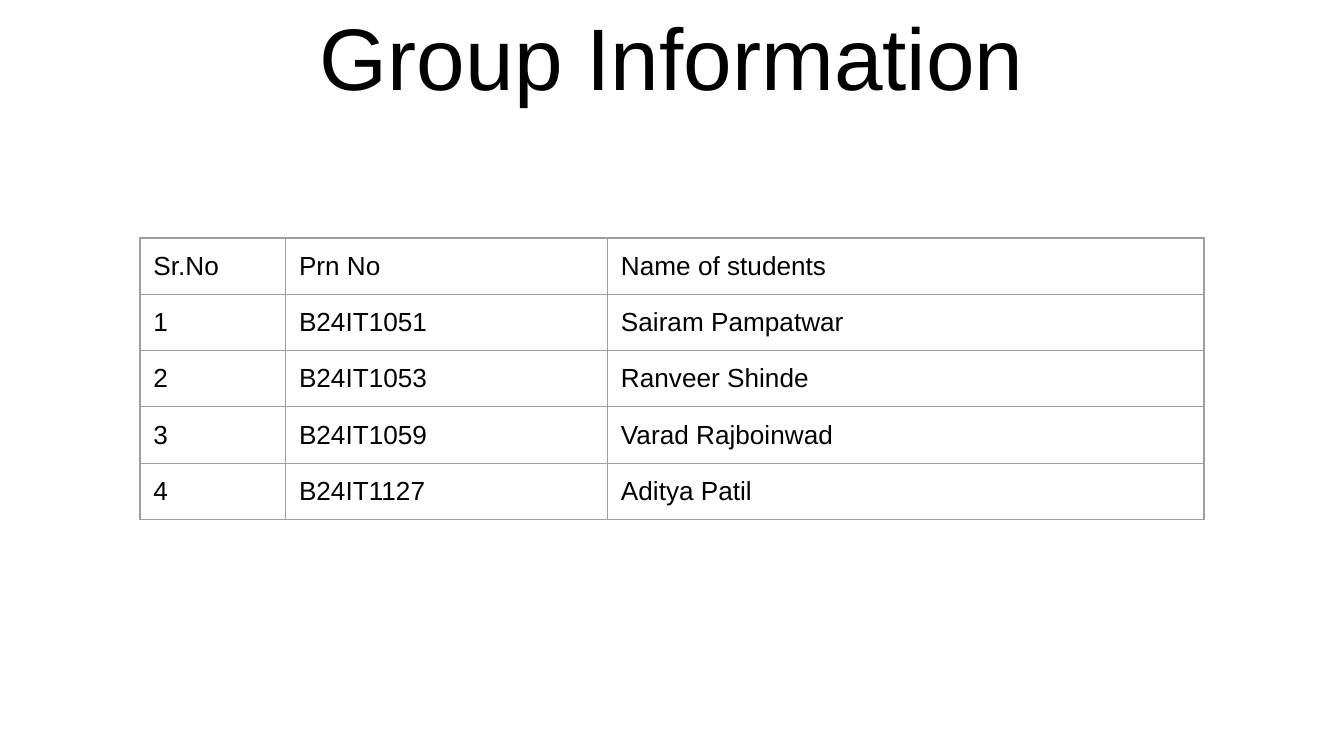
from lxml import etree
from pptx import Presentation
from pptx.dml.color import RGBColor
from pptx.enum import text
from pptx.oxml.ns import qn
from pptx.util import Pt

INSET = Pt(7.2)
MARGINS = ("margin_left", "margin_top", "margin_right", "margin_bottom")


def style(para, size):
    font = para.font
    for key, val in {"name": "Arial", "size": Pt(size), "bold": False}.items():
        setattr(font, key, val)
    font.color.rgb = RGBColor.from_string("000000")


def border(cell, color, width):
    """Draw the same solid line on all four sides of a cell."""
    props = cell._tc.get_or_add_tcPr()
    for i, side in enumerate(("a:lnL", "a:lnR", "a:lnT", "a:lnB")):
        line = etree.Element(qn(side), w=str(Pt(width)))
        fill = etree.SubElement(line, qn("a:solidFill"))
        etree.SubElement(fill, qn("a:srgbClr"), val=color)
        props.insert(i, line)


prs = Presentation()
prs.slide_width, prs.slide_height = Pt(720), Pt(405)
slide = prs.slides.add_slide(prs.slide_layouts[5])

# Title
title = slide.shapes.title
box = {"left": 24.5, "top": 12.2, "width": 671, "height": 52.6}
for key, val in box.items():
    setattr(title, key, Pt(val))
frame = title.text_frame
frame.text = "Group Information"
format = {
    "word_wrap": True,
    "auto_size": text.MSO_AUTO_SIZE.NONE,
    "vertical_anchor": text.MSO_ANCHOR.BOTTOM,
    **dict.fromkeys(MARGINS, INSET),
}
for key, val in format.items():
    setattr(frame, key, val)
head = frame.paragraphs[0]
head.alignment = text.PP_ALIGN.CENTER
style(head, 46.8)

# Table of students
rows = [
    ("Sr.No", "Prn No", "Name of students"),
    ("1", "B24IT1051", "Sairam Pampatwar"),
    ("2", "B24IT1053", "Ranveer Shinde"),
    ("3", "B24IT1059", "Varad Rajboinwad"),
    ("4", "B24IT1127", "Aditya Patil"),
]
widths = (78, 172.5, 319.5)
high = 30
table = slide.shapes.add_table(
    len(rows), len(widths), Pt(75), Pt(127.5), Pt(sum(widths)), Pt(high * len(rows))
).table
table.first_row = table.horz_banding = False
for col, width in zip(table.columns, widths):
    col.width = Pt(width)
for line, row in zip(table.rows, rows):
    line.height = Pt(high)
    for cell, word in zip(line.cells, row):
        cell.text = word
        for side in MARGINS:
            setattr(cell, side, INSET)
        cell.fill.background()
        style(cell.text_frame.paragraphs[0], 14)
        border(cell, "9E9E9E", 0.75)

prs.save("out.pptx")
